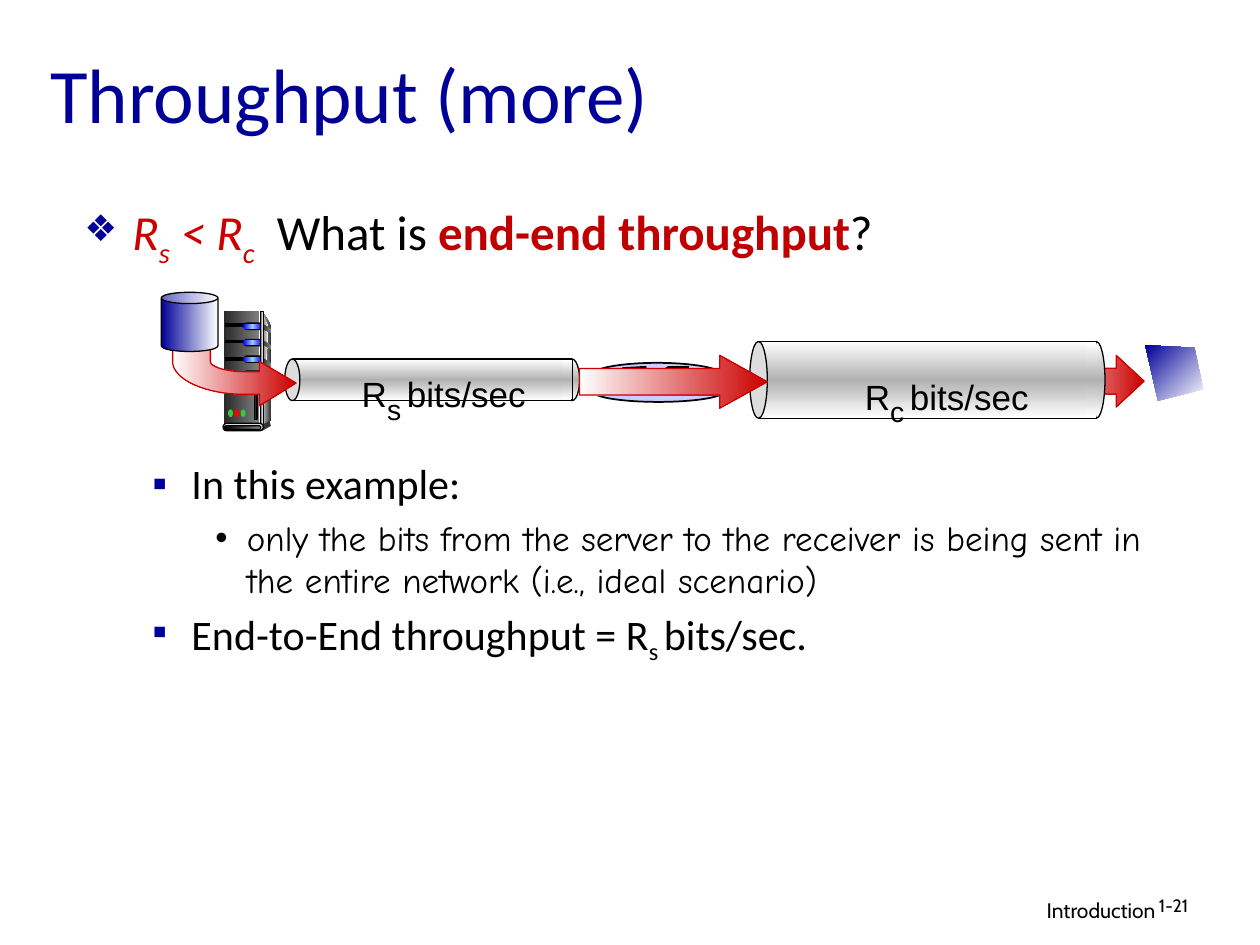
from lxml.etree import SubElement
from pptx import Presentation
from pptx.dml.color import RGBColor
from pptx.enum.shapes import MSO_CONNECTOR, MSO_SHAPE as Kind
from pptx.enum.text import MSO_ANCHOR as Anchor, MSO_AUTO_SIZE as Auto, PP_ALIGN as Align
from pptx.oxml.ns import qn
from pptx.util import Inches, Pt

INK = {"black": "000000", "navy": "000099", "red": "CC0000", "deep": "C00000",
       "white": "FFFFFF", "steel": "B2B2B2", "pale": "DDDDDD", "dark": "333333",
       "coal": "292929", "grey": "808080", "mist": "F8F8F8", "blue": "0000FF",
       "sky": "99CCFF", "lilac": "CCCCFF", "green": "33CC33", "bright": "FF0000"}

# A fill is a colour name, or a tuple of an angle and evenly spaced colours.
METAL = (90, "white", "steel", "white")
FLOW = (180, "red", "white")
SIDE = (180, "grey", "coal")
GLOW = (180, "blue", "sky", "blue")

# Runs: text, then what differs from the paragraph.
TITLE = "Throughput (more)"
ASK = [("R", "red", "i"), ("s", "red", "i sub"), (" < R", "red", "i"),
       ("c", "red", "i sub"), ("  What is ", "black", ""),
       ("end-end throughput", "deep", "b"), ("?", "black", "")]
# Bullet levels: mark, mark colour, mark %, indent, hang, line, before, size, font
LEVELS = [("❖", "navy", 75, 0.38, 0.38, 0.85, 7, 28, "Calibri"),
          ("▪", "navy", 100, 0.81, 0.31, 0.85, 6, 24, "Calibri"),
          ("•", "black", 100, 1.25, 0.25, 1, 5, 20, "Comic Neue")]
NOTES = [(1, [("In this example:", "black", "")]),
         (2, [("only the bits from the server to the receiver is being sent in "
               "the entire network (i.e., ideal scenario)", "black", "")]),
         (1, [("End-to-End throughput = R", "black", ""), ("s ", "black", "sub"),
              ("bits/sec.", "black", "")])]
# Pipes: left, top, width, height, cap width, label letter, label box
PIPES = [(2.26, 2.85, 2.34, 0.33, 0.12, "  R", "s", (2.03, 2.8, 2.83, 0.63)),
         (5.95, 2.71, 2.82, 0.61, 0.14, "R", "c", (6.03, 2.82, 2.97, 0.63))]
BAYS = [2.56, 2.69, 2.82, 2.94]
VENTS = [(2.57, 0.04), (2.7, 0.03), (2.84, 0.03), (2.95, 0.03)]
LIGHTS = ["green", "bright", "green"]
CROSS = [(4.94, 2.93, 5.13, 2.92), (5.3, 3.04, 5.47, 3.04), (5.12, 2.93, 5.31, 3.04),
         (4.94, 3.04, 5.13, 3.04), (5.3, 2.92, 5.47, 2.92), (5.12, 3.04, 5.31, 2.92)]


def rgb(name):
    return RGBColor.from_string(INK[name])


def paint(shape, fill, line=None, width=0.75):
    shape.shadow.inherit = False
    if isinstance(fill, str):
        shape.fill.solid()
        shape.fill.fore_color.rgb = rgb(fill)
    else:
        angle, *tones = fill
        shape.fill.gradient()
        shape.fill.gradient_angle = 360 - angle
        stops = shape._element.spPr.find(qn("a:gradFill")).find(qn("a:gsLst"))
        for old in list(stops):
            stops.remove(old)
        for i, tone in enumerate(tones):
            stop = SubElement(stops, qn("a:gs"), pos=str(i * 100000 // (len(tones) - 1)))
            SubElement(stop, qn("a:srgbClr"), val=INK[tone])
    if line:
        shape.line.color.rgb = rgb(line)
        shape.line.width = Pt(width)
    else:
        shape.line.fill.background()


def draw(to, kind, box, fill, line=None, width=0.75, adjust=()):
    shape = to.add_shape(kind, *map(Inches, box))
    for i, value in enumerate(adjust):
        shape.adjustments[i] = value
    paint(shape, fill, line, width)


def pill(to, box, fill, line=None):
    draw(to, Kind.ROUNDED_RECTANGLE, box, fill, line, adjust=[0.5])


def trace(to, points, fill, line=None):
    start, *rest = [(Inches(x), Inches(y)) for x, y in points]
    pen = to.build_freeform(*start)
    pen.add_line_segments(rest, close=True)
    paint(pen.convert_to_shape(), fill, line)


def curve(a, b, c, d, steps=16):
    """Points along a cubic curve, ends included."""
    ts = [i / steps for i in range(steps + 1)]
    return [tuple((1 - t) ** 3 * p + 3 * t * (1 - t) ** 2 * q + 3 * t * t * (1 - t) * r + t ** 3 * s
                  for p, q, r, s in zip(a, b, c, d)) for t in ts]


def join(to, x1, y1, x2, y2, width):
    line = to.add_connector(MSO_CONNECTOR.STRAIGHT, *map(Inches, (x1, y1, x2, y2)))
    line.line.color.rgb = rgb("black")
    line.line.width = Pt(width)
    SubElement(line._element.spPr, qn("a:effectLst"))


def place(shape, box):
    shape.left, shape.top, shape.width, shape.height = map(Inches, box)
    shape.text_frame.auto_size = Auto.NONE
    shape.text_frame.word_wrap = True
    return shape.text_frame


def style(font, size, face, color="black"):
    font.size, font.name, font.color.rgb = Pt(size), face, rgb(color)


def label(to, box, text, size, face, align=Align.LEFT):
    para = place(to.add_textbox(0, 0, 0, 0), box).paragraphs[0]
    para.text, para.alignment = text, align
    style(para.font, size, face)
    return para


def add_run(para, text, color, marks):
    run = para.add_run()
    run.text = text
    run.font.color.rgb = rgb(color)
    run.font.italic, run.font.bold = "i" in marks.split(), "b" in marks.split()
    if "sub" in marks:
        run.font._element.set("baseline", "-25000")
    return run


def fill_list(frame, items):
    for i, (level, runs) in enumerate(items):
        para = frame.add_paragraph() if i else frame.paragraphs[0]
        mark, tint, share, indent, hang, line, before, size, face = LEVELS[level]
        para.level, para.line_spacing = level, line
        para.space_before = Pt(before if i else 0)
        props = para._p.get_or_add_pPr()
        props.set("marL", str(Inches(indent)))
        props.set("indent", str(-Inches(hang)))
        SubElement(SubElement(props, qn("a:buClr")), qn("a:srgbClr"), val=INK[tint])
        SubElement(props, qn("a:buSzPct"), val=str(share * 1000))
        SubElement(props, qn("a:buChar"), char=mark)
        style(para.font, size, face)
        for run in runs:
            add_run(para, *run)


def server(to):
    trace(to, [(2.08, 2.47), (2.15, 2.58), (2.15, 3.34), (2.07, 3.38)], (180, "dark", "pale"))
    draw(to, Kind.RECTANGLE, (1.78, 2.47, 0.28, 0.91), SIDE)
    trace(to, [(2.09, 2.52), (2.13, 2.59), (2.1, 3.1), (2.09, 3.36)], (180, "mist", "grey"))
    for (vent, drop), bay in zip(VENTS, BAYS):
        draw(to, Kind.RECTANGLE, (1.79, vent, 0.16, 0.02), "black", "black")
        pill(to, (1.93, bay, 0.16, 0.06), "black")
        pill(to, (1.93, bay + 0.01, 0.15, 0.04), GLOW)
        trace(to, [(2.08, vent), (2.15, vent + 0.04), (2.15, vent + 0.07), (2.08, vent + drop)], SIDE)
    draw(to, Kind.RECTANGLE, (2.07, 2.47, 0.02, 0.91), (180, "dark", "pale", "dark"), "black")
    trace(to, [(2.08, 3.37), (2.08, 3.42), (2.15, 3.38), (2.14, 3.34)], "dark")
    pill(to, (1.77, 3.36, 0.32, 0.06), "pale", "black")
    pill(to, (1.78, 3.38, 0.29, 0.03), (180, "grey", "black"), "black")
    for i, light in enumerate(LIGHTS):
        draw(to, Kind.OVAL, (1.81 + 0.05 * i, 3.25, 0.04, 0.06), light)
    draw(to, Kind.RECTANGLE, (2.02, 3.03, 0.02, 0.3), "coal", "black")


def pipe(to, x, y, w, h, cap, letter, sub, box):
    end = x + w - cap
    draw(to, Kind.OVAL, (end, y, cap, h), METAL, "black")
    draw(to, Kind.RECTANGLE, (x + cap / 2, y, w - cap, h), METAL, "black")
    draw(to, Kind.OVAL, (x, y, cap, h), "pale", "black")
    draw(to, Kind.RECTANGLE, (end - 0.01, y + 0.01, cap * 0.6, h - 0.02), METAL)
    para = label(to, box, letter, 20, "Arial", Align.CENTER)
    for text, size, marks in [(sub, 28, "sub"), (" ", 20, "sub"), ("bits/sec", 20, "")]:
        add_run(para, text, "black", marks).font.size = Pt(size)


def router(to):
    draw(to, Kind.OVAL, (4.7, 3.02, 1.05, 0.17), "lilac", "black", 1)
    for x in (4.7, 5.75):
        join(to, x, 3, x, 3.11, 1)
    draw(to, Kind.RECTANGLE, (4.7, 3, 1.04, 0.1), "lilac")
    draw(to, Kind.OVAL, (4.69, 2.88, 1.05, 0.2), "lilac", "black", 1)
    for ends in CROSS:
        join(to, *ends, 2.25)


def main():
    deck = Presentation()
    deck.slide_width, deck.slide_height = Inches(10), Inches(7.5)
    slide = deck.slides.add_slide(deck.slide_layouts[3])
    to = slide.shapes
    title, ask, notes = slide.placeholders
    frame = place(title, (0.3, 0.11, 8.5, 1.25))
    frame.text, frame.vertical_anchor = TITLE, Anchor.MIDDLE
    frame.paragraphs[0].alignment = Align.LEFT
    style(frame.paragraphs[0].font, 44, "Calibri", "navy")
    fill_list(place(ask, (0.57, 1.58, 8.91, 0.61)), [(0, ASK)])
    fill_list(place(notes, (0.61, 3.64, 8.82, 3.37)), NOTES)

    server(to.add_group_shape().shapes)
    pipe(to.add_group_shape().shapes, *PIPES[0])
    bend = (curve((1.94, 3.13), (1.63, 3.13), (1.37, 3.01), (1.37, 2.87))
            + [(1.37, 2.6), (1.67, 2.6)]
            + curve((1.67, 2.87), (1.67, 2.91), (1.79, 2.95), (1.94, 2.95)))
    trace(to, [(2.06, 2.87), (2.35, 3.04), (2.06, 3.22), (2.06, 3.13)] + bend + [(2.06, 2.95)],
          FLOW, "red")
    draw(to, Kind.RIGHT_ARROW, (8.19, 2.82, 0.89, 0.41), FLOW, "red", adjust=[0.5, 0.54])
    pipe(to.add_group_shape().shapes, *PIPES[1])
    router(to.add_group_shape().shapes)
    draw(to, Kind.RIGHT_ARROW, (4.6, 2.82, 1.49, 0.42), FLOW, "red", adjust=[0.5, 0.9])
    trace(to, [(9.09, 2.74), (9.48, 2.76), (9.55, 3.09), (9.19, 3.18)], (225, "white", "navy"))
    draw(to, Kind.CAN, (1.28, 2.32, 0.45, 0.47), (180, "white", "navy"), "black", adjust=[0.2])
    label(to, (6.1, 7.07, 3.17, 0.31), "Introduction", 12, "Cabin", Align.RIGHT)
    label(to, (9.1, 7.07, 0.74, 0.3), "1-21", 10.2, "Cabin").line_spacing = 0.9
    deck.save("out.pptx")


if __name__ == "__main__":
    main()
